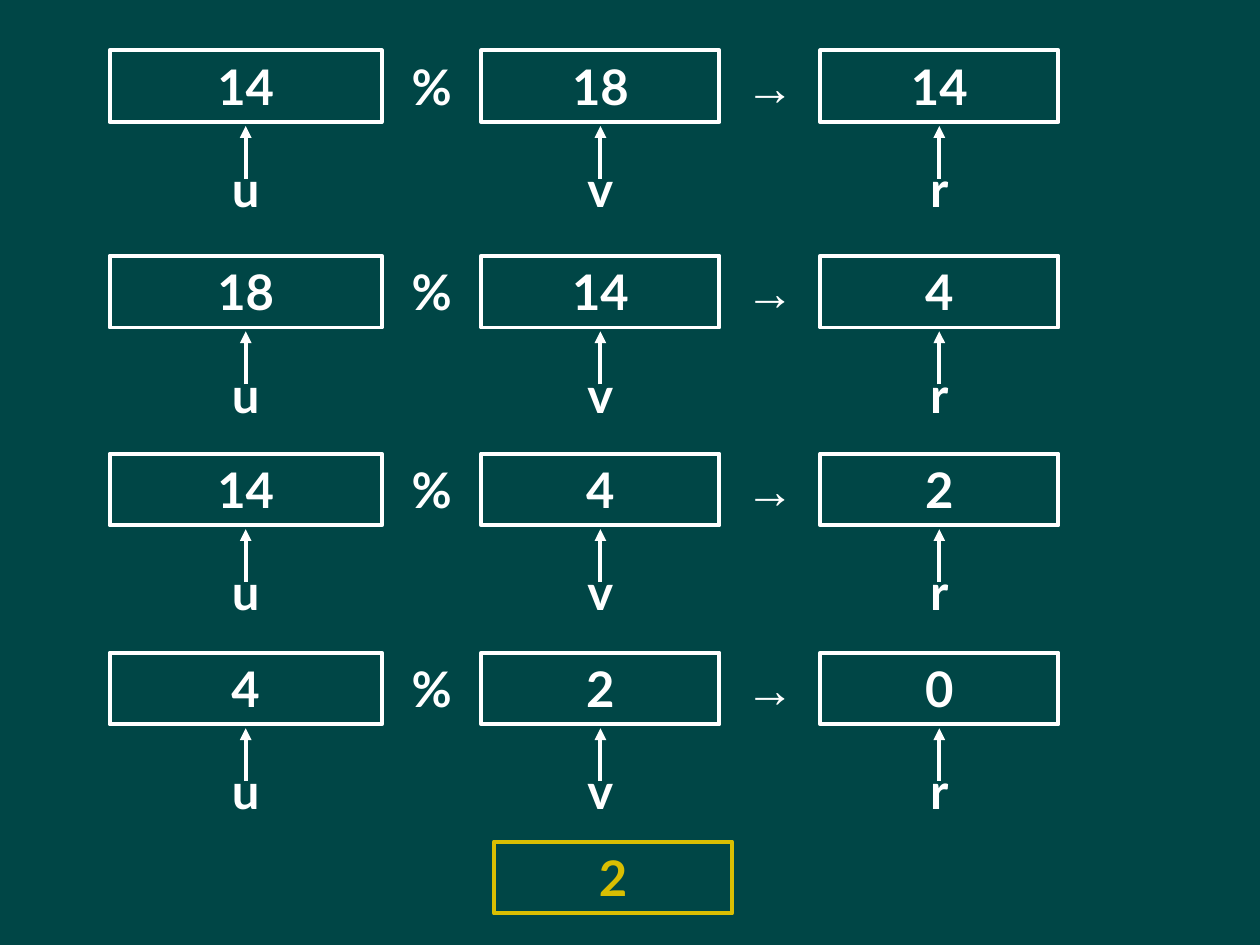
from itertools import accumulate

from lxml.etree import SubElement
from pptx import Presentation
from pptx.dml.color import RGBColor
from pptx.enum.shapes import MSO_CONNECTOR, MSO_SHAPE
from pptx.enum.text import MSO_ANCHOR, MSO_AUTO_SIZE, PP_ALIGN
from pptx.oxml.ns import qn
from pptx.util import Inches, Pt

COLORS = {"background": "004646", "chalk": "FFFFFF", "result": "D9BE02"}

# Grid in inches: u, operator, v, arrow sign, r; four steps and the result
COLUMN_WIDTHS = [2.16, 0.79, 1.89, 0.8, 1.89]
COLUMN_LEFTS = list(accumulate(COLUMN_WIDTHS, initial=0.87))
ROW_TOPS = [0.4, 2.03, 3.6, 5.18, 6.68]
ROW_HEIGHT = 0.57
LABEL_DROP = 0.81
POINTER_START, POINTER_END = 1.02, 0.6
RESULT_SHIFT = 0.1

STEPS = [(14, 18, 14), (18, 14, 4), (14, 4, 2), (4, 2, 0)]
VARIABLES = {"u": 0, "v": 2, "r": 4}
RESULT = 2


class DivisionSlide:
    """Holds the style and the slide, and draws elements in grid cells."""

    line_width = Pt(2.25)
    frame_format = {
        "word_wrap": True,
        "auto_size": MSO_AUTO_SIZE.SHAPE_TO_FIT_TEXT,
        "vertical_anchor": MSO_ANCHOR.TOP,
        "margin_left": Inches(0.1),
        "margin_right": Inches(0.1),
        "margin_top": Inches(0.05),
        "margin_bottom": Inches(0.05),
    }
    font_format = {"size": Pt(28), "bold": True, "name": "Lato"}

    def __init__(self, presentation):
        self.slide = presentation.slides.add_slide(presentation.slide_layouts[6])
        fill = self.slide.background.fill
        fill.solid()
        fill.fore_color.rgb = self.color("background")

    @staticmethod
    def color(name):
        return RGBColor.from_string(COLORS[name])

    @staticmethod
    def cell(column, row, shift=0, drop=0):
        return [Inches(length) for length in (
            COLUMN_LEFTS[column] + shift, ROW_TOPS[row] + drop,
            COLUMN_WIDTHS[column], ROW_HEIGHT)]

    def set_text(self, shape, text, color, **font_changes):
        for name, value in self.frame_format.items():
            setattr(shape.text_frame, name, value)
        paragraph = shape.text_frame.paragraphs[0]
        paragraph.alignment = PP_ALIGN.CENTER
        run = paragraph.add_run()
        run.text = str(text)
        for name, value in {**self.font_format, **font_changes}.items():
            setattr(run.font, name, value)
        run.font.color.rgb = self.color(color)

    def outline(self, line, color):
        line.color.rgb = self.color(color)
        line.width = self.line_width

    def value_box(self, value, column, row, shift=0, color="chalk"):
        shape = self.slide.shapes.add_shape(
            MSO_SHAPE.RECTANGLE, *self.cell(column, row, shift))
        shape.shadow.inherit = False
        shape.fill.background()
        self.outline(shape.line, color)
        self.set_text(shape, value, color)

    def label(self, text, column, row, drop=0, **font_changes):
        shape = self.slide.shapes.add_textbox(*self.cell(column, row, drop=drop))
        self.set_text(shape, text, "chalk", **font_changes)

    def pointer(self, column, row):
        center = Inches(COLUMN_LEFTS[column] + COLUMN_WIDTHS[column] / 2)
        start, end = (Inches(ROW_TOPS[row] + drop)
                      for drop in (POINTER_START, POINTER_END))
        connector = self.slide.shapes.add_connector(
            MSO_CONNECTOR.STRAIGHT, center, start, center, end)
        self.outline(connector.line, "chalk")
        properties = connector._element.spPr
        SubElement(properties.find(qn("a:ln")), qn("a:tailEnd"), type="triangle")
        SubElement(properties, qn("a:effectLst"))


def main():
    presentation = Presentation()
    presentation.slide_width = Inches(10)
    presentation.slide_height = Inches(7.5)
    division = DivisionSlide(presentation)

    # One row per division step
    for row, values in enumerate(STEPS):
        for value, column in zip(values, VARIABLES.values()):
            division.value_box(value, column, row)
        division.label("%", 1, row)
        division.label("→", 3, row, name="Arial")
        for variable, column in VARIABLES.items():
            division.label(variable, column, row, LABEL_DROP)
        for column in VARIABLES.values():
            division.pointer(column, row)

    # Greatest common divisor
    division.value_box(RESULT, VARIABLES["v"], len(STEPS), RESULT_SHIFT, "result")

    presentation.save("out.pptx")


if __name__ == "__main__":
    main()
